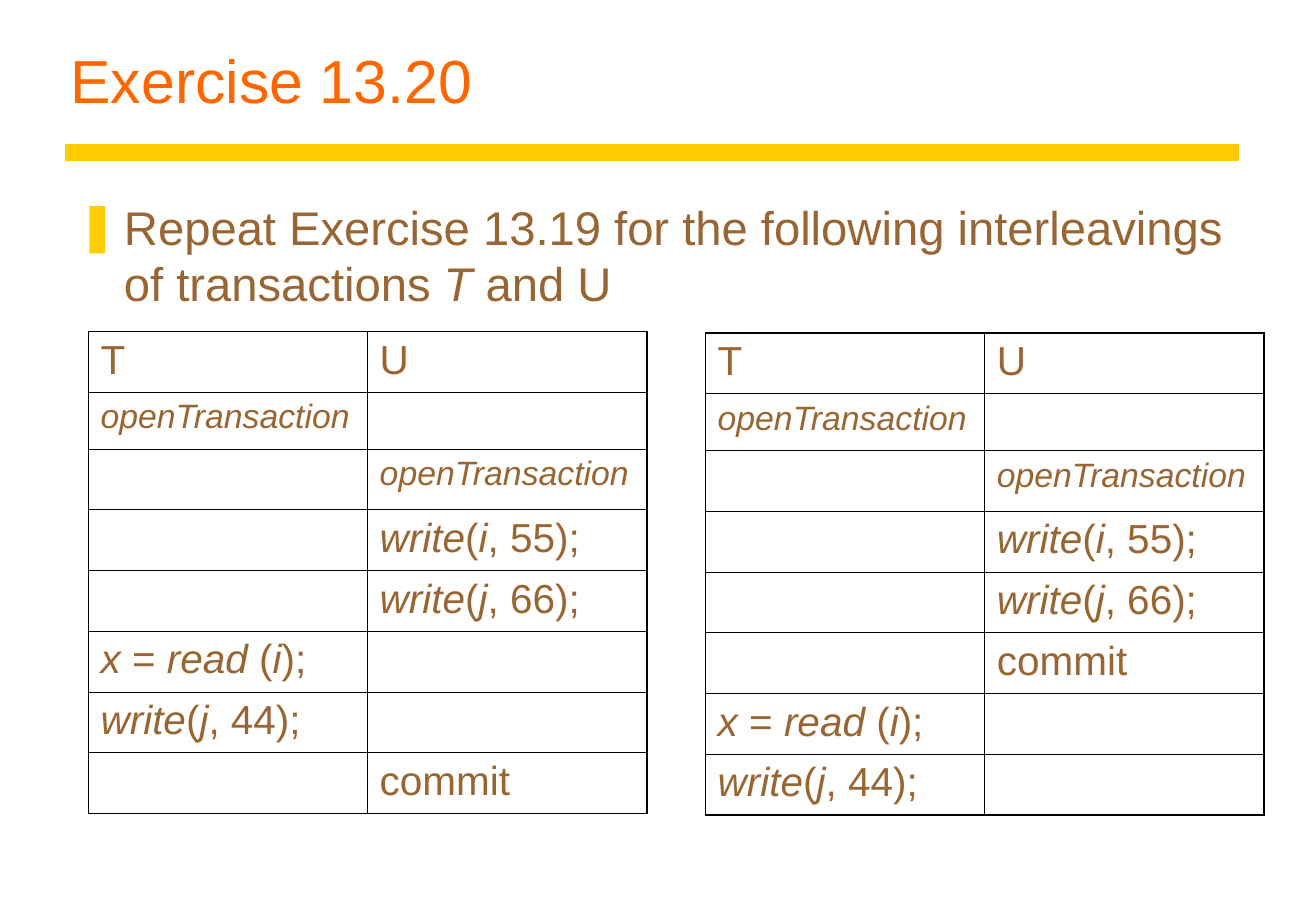
"""Build the Exercise 13.20 slide with two transaction interleavings."""
from lxml.etree import SubElement
from pptx import Presentation
from pptx.dml.color import RGBColor
from pptx.enum.shapes import MSO_CONNECTOR
from pptx.enum.text import MSO_ANCHOR, PP_ALIGN
from pptx.oxml import parse_xml
from pptx.oxml.ns import nsdecls, qn
from pptx.util import Cm, Pt

FONT = "Arial"
COLOURS = {"title": "FF6600", "text": "996633", "accent": "FFCC00", "grid": "000000"}
TITLE = "Exercise 13.20"
TASK = "Repeat Exercise 13.19 for the following interleavings of transactions *T* and U"
START = [
    ("T", "U"),
    ("*openTransaction*", ""),
    ("", "*openTransaction*"),
    ("", "*write*(*i*, 55);"),
    ("", "*write*(*j*, 66);"),
]
T_STEPS = [("*x* = *read* (*i*);", ""), ("*write*(*j*, 44);", "")]
COMMIT = [("", "commit")]
INTERLEAVINGS = [
    (1.85, 6.93, START + T_STEPS + COMMIT),
    (14.76, 6.96, START + COMMIT + T_STEPS),
]
COLUMN_WIDTH, ROW_HEIGHT, OPEN_ROW_HEIGHT = 5.84, 1.27, 1.19
OUTER_LINE, INNER_LINE = 1.08, 0.45


def place(shape, left, top, width, height):
    shape.left, shape.top, shape.width, shape.height = map(Cm, (left, top, width, height))


def write(para, text, size, colour):
    """Fill a paragraph; text between asterisks is italic."""
    para.alignment = PP_ALIGN.LEFT
    para.space_before = Pt(0)
    para.font.size, para.font.name = Pt(size), FONT
    para.font.color.rgb = RGBColor.from_string(COLOURS[colour])
    for index, part in enumerate(text.split("*")):
        if part:
            span = para.add_run()
            span.text = part
            span.font.italic = index % 2 == 1


def add_bullet(para, char, indent):
    properties = para._p.get_or_add_pPr()
    properties.set("marL", str(Cm(indent)))
    properties.set("indent", str(-Cm(indent)))
    colour = SubElement(properties, qn("a:buClr"))
    SubElement(colour, qn("a:srgbClr"), val=COLOURS["accent"])
    SubElement(properties, qn("a:buChar"), char=char)


def set_borders(cell, outer_sides):
    properties = cell._tc.get_or_add_tcPr()
    for index, side in enumerate("LRTB"):
        width = Pt(OUTER_LINE if side in outer_sides else INNER_LINE)
        properties.insert(index, parse_xml(
            f'<a:ln{side} {nsdecls("a")} w="{width}"><a:solidFill>'
            f'<a:srgbClr val="{COLOURS["grid"]}"/></a:solidFill></a:ln{side}>'))


def add_interleaving(page, left, top, steps):
    last = len(steps) - 1
    heights = [OPEN_ROW_HEIGHT if row == 1 else ROW_HEIGHT for row in range(len(steps))]
    table = page.shapes.add_table(len(steps), 2, Cm(left), Cm(top),
                                  Cm(2 * COLUMN_WIDTH), Cm(sum(heights))).table
    table.first_row = table.horz_banding = False
    for column in table.columns:
        column.width = Cm(COLUMN_WIDTH)
    for row, step in enumerate(steps):
        table.rows[row].height = Cm(heights[row])
        for column, text in enumerate(step):
            cell = table.cell(row, column)
            cell.fill.background()
            outer = "LR"[column] + ("T" if row == 0 else "") + ("B" if row == last else "")
            set_borders(cell, outer)
            if text:
                size = 20 if "open" in text else 24
                write(cell.text_frame.paragraphs[0], text, size, "text")


def main():
    deck = Presentation()
    deck.slide_width, deck.slide_height = Cm(27.53), Cm(19.05)
    page = deck.slides.add_slide(deck.slide_layouts[1])

    rule = page.shapes.add_connector(MSO_CONNECTOR.STRAIGHT, Cm(1.37), Cm(3.18), Cm(25.91), Cm(3.18))
    rule.line.color.rgb = RGBColor.from_string(COLOURS["accent"])
    rule.line.width = Pt(10)
    SubElement(rule._element.spPr, qn("a:effectLst"))

    title, body = page.shapes.title, page.placeholders[1]
    place(title, 1.22, 0.64, 24.69, 1.9)
    title.text_frame.vertical_anchor = MSO_ANCHOR.BOTTOM
    write(title.text_frame.paragraphs[0], TITLE, 36, "title")

    place(body, 1.37, 4.01, 24.61, 13.34)
    task = body.text_frame.paragraphs[0]
    add_bullet(task, "❚", 0.97)
    write(task, TASK, 28, "text")

    for left, top, steps in INTERLEAVINGS:
        add_interleaving(page, left, top, steps)
    deck.save("out.pptx")


if __name__ == "__main__":
    main()
